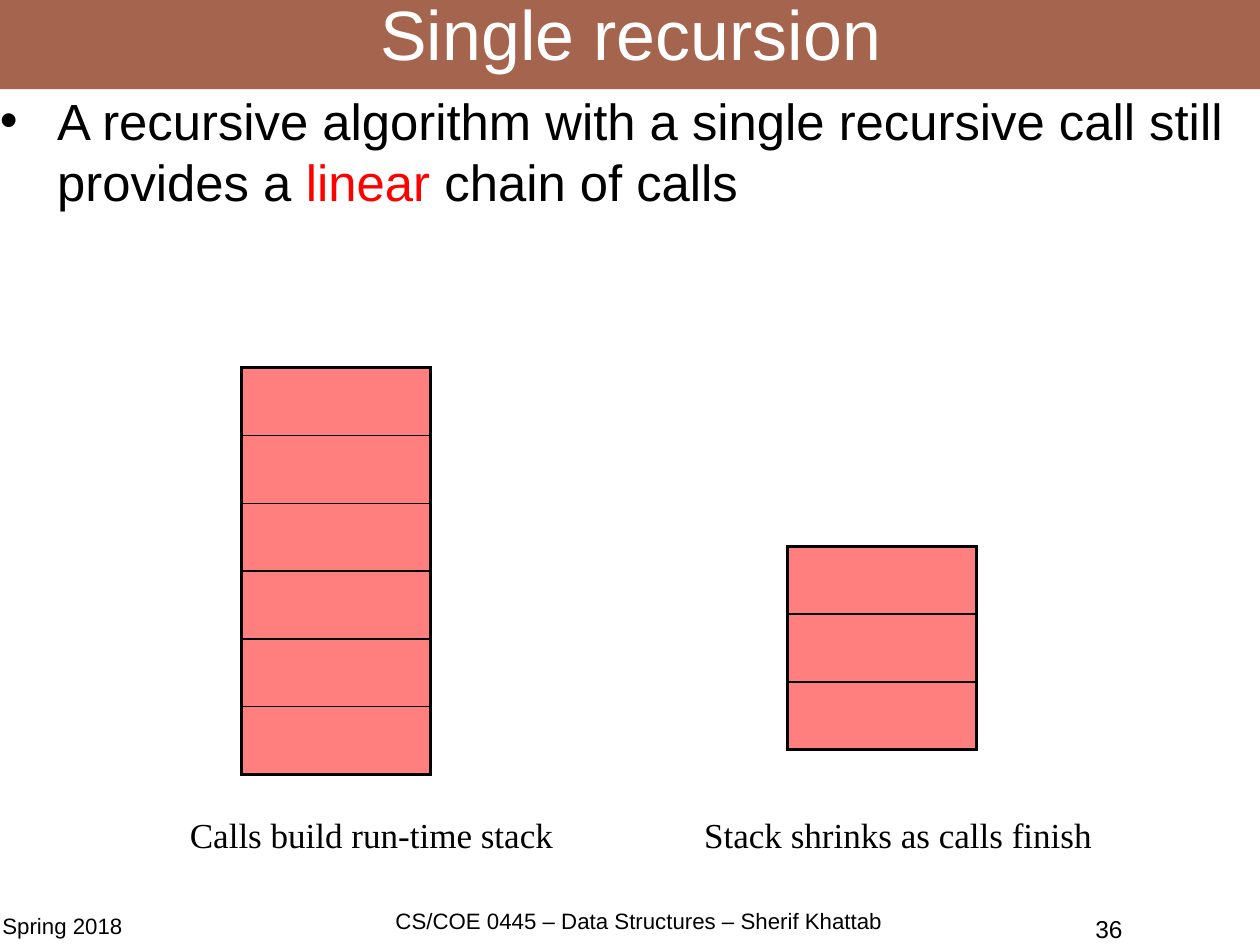
from lxml import etree
from pptx import Presentation
from pptx.dml.color import RGBColor
from pptx.enum.shapes import MSO_SHAPE
from pptx.enum.text import MSO_ANCHOR, PP_ALIGN
from pptx.oxml.ns import qn
from pptx.util import Pt

RECT = MSO_SHAPE.RECTANGLE
TOP, MIDDLE = MSO_ANCHOR.TOP, MSO_ANCHOR.MIDDLE
LEFT, CENTER = PP_ALIGN.LEFT, PP_ALIGN.CENTER

BLACK, WHITE, RED, BROWN = "000000", "FFFFFF", "FF0000", "A5644E"
SANS, SERIF = "Arial", "Times New Roman"
CELL_WIDTH, CELL_HEIGHT = 119, 42.75
THICK, THIN = 2.25, 1


def color(value):
    return RGBColor.from_string(value)


def write(s, runs, size, font=SANS, align=LEFT, spacing=1.0, anchor=TOP,
          inset=(0, 0)):
    """Fill a shape with one paragraph of (text, color) runs."""
    tf = s.text_frame
    dx, dy = inset
    frame = {"word_wrap": True, "vertical_anchor": anchor,
             "margin_left": Pt(dx), "margin_right": Pt(dx),
             "margin_top": Pt(dy), "margin_bottom": Pt(dy)}
    for name, value in frame.items():
        setattr(tf, name, value)
    p = tf.paragraphs[0]
    p.alignment, p.line_spacing = align, spacing
    for text, run_color in runs:
        r = p.add_run()
        r.text = text
        r.font.size, r.font.name = Pt(size), font
        r.font.color.rgb = color(run_color)
    return p


def add_text(slide, box, runs, size, **style):
    s = slide.shapes.add_textbox(*map(Pt, box))
    return write(s, runs, size, **style)


def add_title_bar(slide, box, text):
    s = slide.shapes.add_shape(RECT, *map(Pt, box))
    s.shadow.inherit = False
    s.fill.solid()
    s.fill.fore_color.rgb = color(BROWN)
    s.line.fill.background()
    write(s, [(text, WHITE)], 44, align=CENTER, spacing=0.69, anchor=MIDDLE)


def add_bullet(p, indent):
    pPr = p._p.get_or_add_pPr()
    pPr.set("marL", str(Pt(indent)))
    pPr.set("indent", str(-Pt(indent)))
    bu_color = etree.SubElement(pPr, qn("a:buClr"))
    etree.SubElement(bu_color, qn("a:srgbClr"), val=BLACK)
    etree.SubElement(pPr, qn("a:buFont"), typeface=SANS)
    etree.SubElement(pPr, qn("a:buChar"), char="•")


def format_cell(cell, borders):
    """Half-transparent red fill, and borders given as {side: width}."""
    cell.fill.solid()
    cell.fill.fore_color.rgb = color(RED)
    tcPr = cell._tc.get_or_add_tcPr()
    etree.SubElement(tcPr.find(".//" + qn("a:srgbClr")), qn("a:alpha"),
                     val="50000")
    for i, (side, width) in enumerate(borders.items()):
        ln = etree.Element(qn("a:ln" + side), w=str(Pt(width)))
        fill = etree.SubElement(ln, qn("a:solidFill"))
        etree.SubElement(fill, qn("a:srgbClr"), val=BLACK)
        tcPr.insert(i, ln)


def add_stack(slide, left, top, calls):
    frame = slide.shapes.add_table(calls, 1, Pt(left), Pt(top),
                                   Pt(CELL_WIDTH), Pt(calls * CELL_HEIGHT))
    table = frame.table
    table.first_row = table.horz_banding = False
    for i, row in enumerate(table.rows):
        row.height = Pt(CELL_HEIGHT)
        format_cell(row.cells[0], {"L": THICK, "R": THICK,
                                   "T": THICK if i == 0 else THIN,
                                   "B": THICK if i == calls - 1 else THIN})


def main():
    prs = Presentation()
    prs.slide_width, prs.slide_height = Pt(793.7), Pt(595.28)
    slide = prs.slides.add_slide(prs.slide_layouts[6])

    add_title_bar(slide, (0, -1.75, 795, 58), "Single recursion")
    p = add_text(slide, (0, 56.5, 795, 517), [
        ("A recursive algorithm with a single recursive call still provides a ",
         BLACK),
        ("linear", RED),
        (" chain of calls", BLACK)], 32)
    p.space_after = Pt(14.2)
    add_bullet(p, 36)

    add_stack(slide, 152, 231.5, 6)
    add_stack(slide, 496, 344, 3)
    for left, width, caption in (
            (112.5, 264, "Calls build run-time stack"),
            (436.5, 291, "Stack shrinks as calls finish")):
        add_text(slide, (left, 509, width, 34), [(caption, BLACK)], 22.1,
                 font=SERIF, inset=(7.2, 3.6))

    for box, text, size, align, spacing in (
            ((1.5, 577.25, 182, 39.5), "Spring 2018", 14, LEFT, 0.84),
            ((221, 572.75, 363, 39.5),
             "CS/COE 0445 – Data Structures – Sherif Khattab", 14, CENTER, 0.96),
            ((607.5, 576, 182, 39.5), "36", 15.4, CENTER, 1.0)):
        add_text(slide, box, [(text, BLACK)], size, align=align,
                 spacing=spacing)

    prs.save("out.pptx")


if __name__ == "__main__":
    main()
